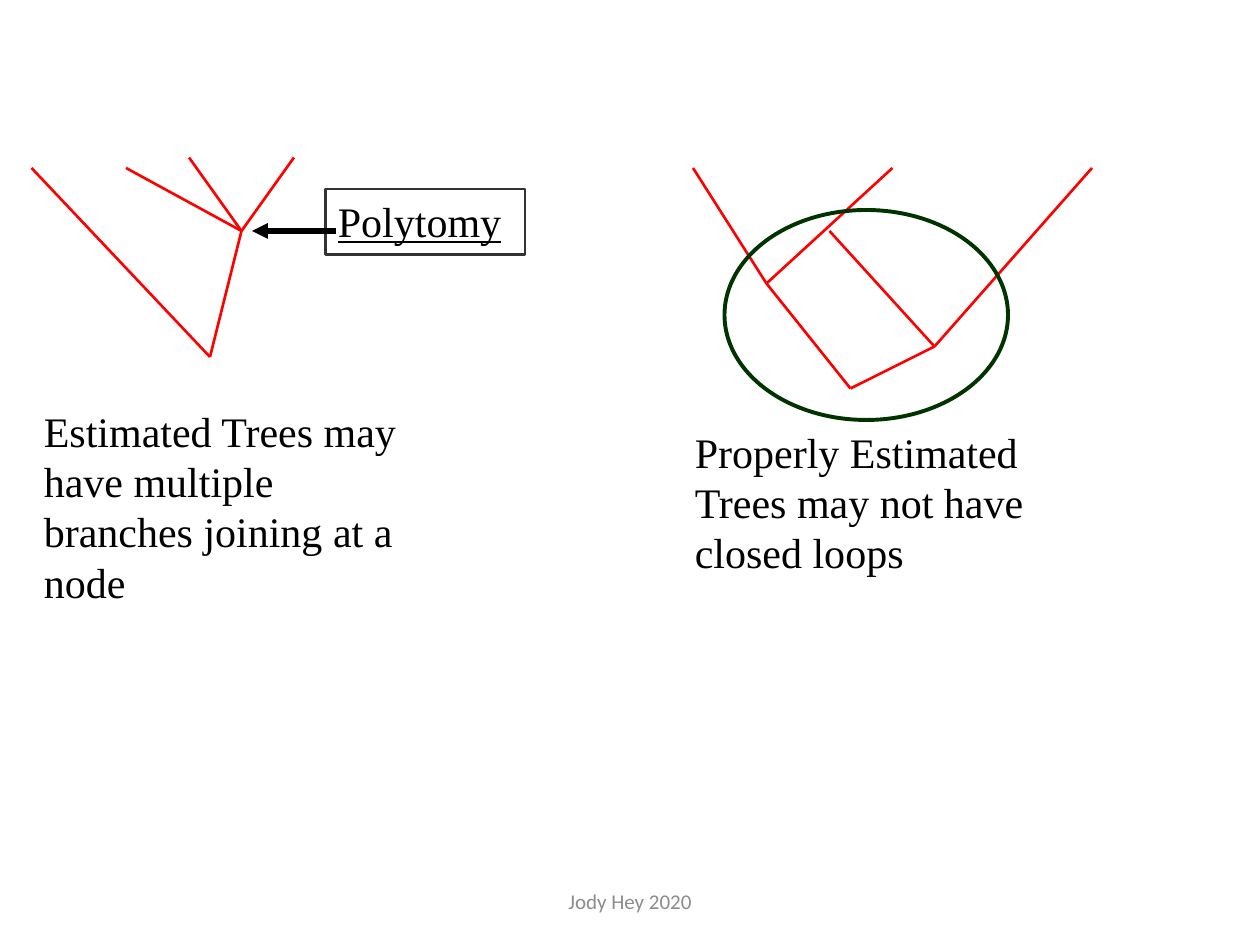
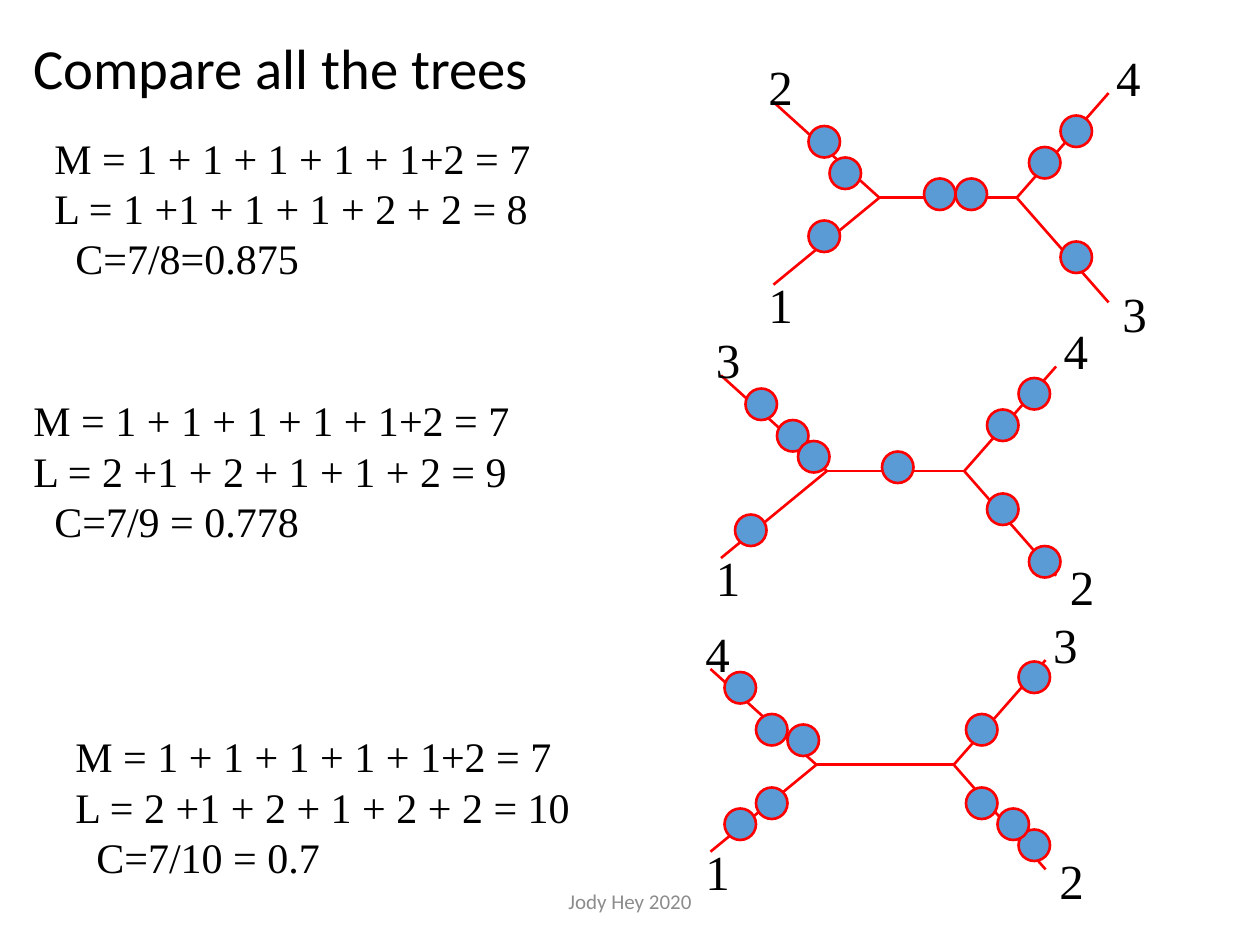
from lxml import etree
from pptx import Presentation
from pptx.dml.color import RGBColor
from pptx.enum import shapes, text
from pptx.oxml.ns import qn
from pptx.util import Pt

SERIF, SANS = "Times New Roman", "Calibri"
BLACK, RED, BLUE, GREEN = "000000", "FF0000", "5B9BD5", "003300"
FRAME, GREY = "333333", "8C8C8C"
FOOTER = "Jody Hey 2020"

# Slide 1: branches as (start, end)
POLYTOMY_NODE, POLYTOMY_ROOT = (138, 132), (120, 204)
POLYTOMY_BRANCHES = [
    (POLYTOMY_NODE, end) for end in [(168, 90), (108, 90), (72, 96), POLYTOMY_ROOT]
] + [(POLYTOMY_ROOT, (18, 96))]
LEFT_NODE, LOOP_ROOT, RIGHT_NODE = (438, 162), (486, 222), (534, 198)
LOOP_BRANCHES = [
    ((396, 96), LEFT_NODE),
    (LEFT_NODE, (510, 96)),
    ((474, 132), RIGHT_NODE),
    (LEFT_NODE, LOOP_ROOT),
    (LOOP_ROOT, RIGHT_NODE),
    (RIGHT_NODE, (624, 96)),
]
CAPTIONS = [
    ("Estimated Trees may have multiple branches joining at a node", (18, 228, 222, 122)),
    ("Properly Estimated Trees may not have closed loops", (390, 240, 222, 94)),
]

# Slide 2: tips run bottom left, top left, bottom right, top right
TREES = [
    dict(node=(502.5, 113), tips="1234", sums_at=(24, 72),
         sums=["M = 1 + 1 + 1 + 1 + 1+2 = 7", "L = 1 +1 + 1 + 1 + 2 + 2 = 8", "C=7/8=0.875"],
         changes=[(462, 126), (528, 102), (546, 102), (588, 84), (606, 66),
                  (462, 72), (474, 90), (606, 138)]),
    dict(node=(472.5, 269.2), tips="1324", sums_at=(12, 222),
         sums=["M = 1 + 1 + 1 + 1 + 1+2 = 7", "L = 2 +1 + 2 + 1 + 1 + 2 = 9", "C=7/9 = 0.778"],
         changes=[(420, 294), (564, 282), (426, 222), (444, 240), (582, 216),
                  (564, 234), (504, 258), (588, 312), (456, 252)]),
    dict(node=(466.5, 437), tips="1423", sums_at=(36, 414),
         sums=["M = 1 + 1 + 1 + 1 + 1+2 = 7", "L = 2 +1 + 2 + 1 + 2 + 2 = 10", "C=7/10 = 0.7"],
         changes=[(432, 450), (432, 408), (552, 408), (414, 384), (582, 378),
                  (552, 450), (414, 462), (582, 474), (450, 414), (570, 462)]),
]
# Offsets from a tree's left node
STEM = 78.5
TIP_OFFSETS = [(-60.5, 49.7), (-60.5, -54.7), (131, 59.8), (131, -59.8)]
LABEL_OFFSETS = [(-70.5, 40.3), (-70.5, -84.2), (131.8, 45.4), (128.2, -89.3)]
CHANGE_SIZE = 18
RATIO_INDENT = 12


def rgb(color):
    return RGBColor.from_string(color)


def write(shape, lines, size, font=SERIF, color=BLACK, align=text.PP_ALIGN.LEFT,
          anchor=text.MSO_ANCHOR.TOP, underline=None):
    """Fill a shape with one paragraph per line and return the paragraphs."""
    frame = shape.text_frame
    frame.word_wrap = True
    frame.vertical_anchor = anchor
    for index, line in enumerate(lines):
        paragraph = frame.add_paragraph() if index else frame.paragraphs[0]
        paragraph.alignment = align
        run = paragraph.add_run()
        run.text = line
        run.font.name, run.font.size = font, Pt(size)
        run.font.color.rgb = rgb(color)
        run.font.underline = underline
    return frame.paragraphs


def add_text(slide, box, lines, size, **style):
    return write(slide.shapes.add_textbox(*map(Pt, box)), lines, size, **style)


def add_outline(slide, kind, box, color, width, fill=None):
    shape = slide.shapes.add_shape(kind, *map(Pt, box))
    shape.shadow.inherit = False
    if fill:
        shape.fill.solid()
        shape.fill.fore_color.rgb = rgb(fill)
    else:
        shape.fill.background()
    shape.line.color.rgb, shape.line.width = rgb(color), Pt(width)
    return shape


def add_line(slide, start, end, color=RED, width=1.5, arrow=False):
    line = slide.shapes.add_connector(
        shapes.MSO_CONNECTOR.STRAIGHT, *map(Pt, (*start, *end)))
    line.line.color.rgb, line.line.width = rgb(color), Pt(width)
    if arrow:
        etree.SubElement(line.line._get_or_add_ln(), qn("a:tailEnd"), type="triangle")
    etree.SubElement(line._element.spPr, qn("a:effectLst"))


def add_footer(slide):
    add_text(slide, (238.5, 500.5, 243, 29), [FOOTER], 12, font=SANS, color=GREY,
             align=text.PP_ALIGN.CENTER, anchor=text.MSO_ANCHOR.MIDDLE)


def add_tree(slide, tree):
    x, y = tree["node"]
    right = (x + STEM, y)
    add_line(slide, (x, y), right)
    for tip, (dx, dy), (label_x, label_y) in zip(tree["tips"], TIP_OFFSETS, LABEL_OFFSETS):
        add_line(slide, (x, y) if dx < 0 else right, (x + dx, y + dy))
        add_text(slide, (x + label_x, y + label_y, 25, 41), [tip], 28)
    for change in tree["changes"]:
        add_outline(slide, shapes.MSO_SHAPE.OVAL, (*change, CHANGE_SIZE, CHANGE_SIZE),
                    RED, 1.5, fill=BLUE)
    sums = add_text(slide, (*tree["sums_at"], 384, 122), tree["sums"], 24)
    sums[-1]._p.get_or_add_pPr().set("marL", str(Pt(RATIO_INDENT)))


def build_tree_rules(slide):
    for start, end in POLYTOMY_BRANCHES + LOOP_BRANCHES:
        add_line(slide, start, end)
    for caption, box in CAPTIONS:
        add_text(slide, box, [caption], 24)
    polytomy = add_outline(slide, shapes.MSO_SHAPE.RECTANGLE, (186, 108, 114, 37.5), FRAME, 1.5)
    write(polytomy, ["Polytomy"], 24, underline=True)
    add_line(slide, (192, 132), (144, 132), BLACK, 3, arrow=True)
    add_outline(slide, shapes.MSO_SHAPE.OVAL, (414, 120, 162, 120), GREEN, 2.25)
    add_footer(slide)


def build_comparison(slide):
    title = add_text(slide, (12, 21.5, 756, 38), ["Compare all the trees"], 32.4,
                     font=SANS, anchor=text.MSO_ANCHOR.MIDDLE)
    title[0].line_spacing = 0.9
    for tree in reversed(TREES):
        add_tree(slide, tree)
    add_footer(slide)


def main():
    deck = Presentation()
    deck.slide_width, deck.slide_height = Pt(720), Pt(540)
    for build in (build_tree_rules, build_comparison):
        build(deck.slides.add_slide(deck.slide_layouts[6]))
    deck.save("out.pptx")


if __name__ == "__main__":
    main()
